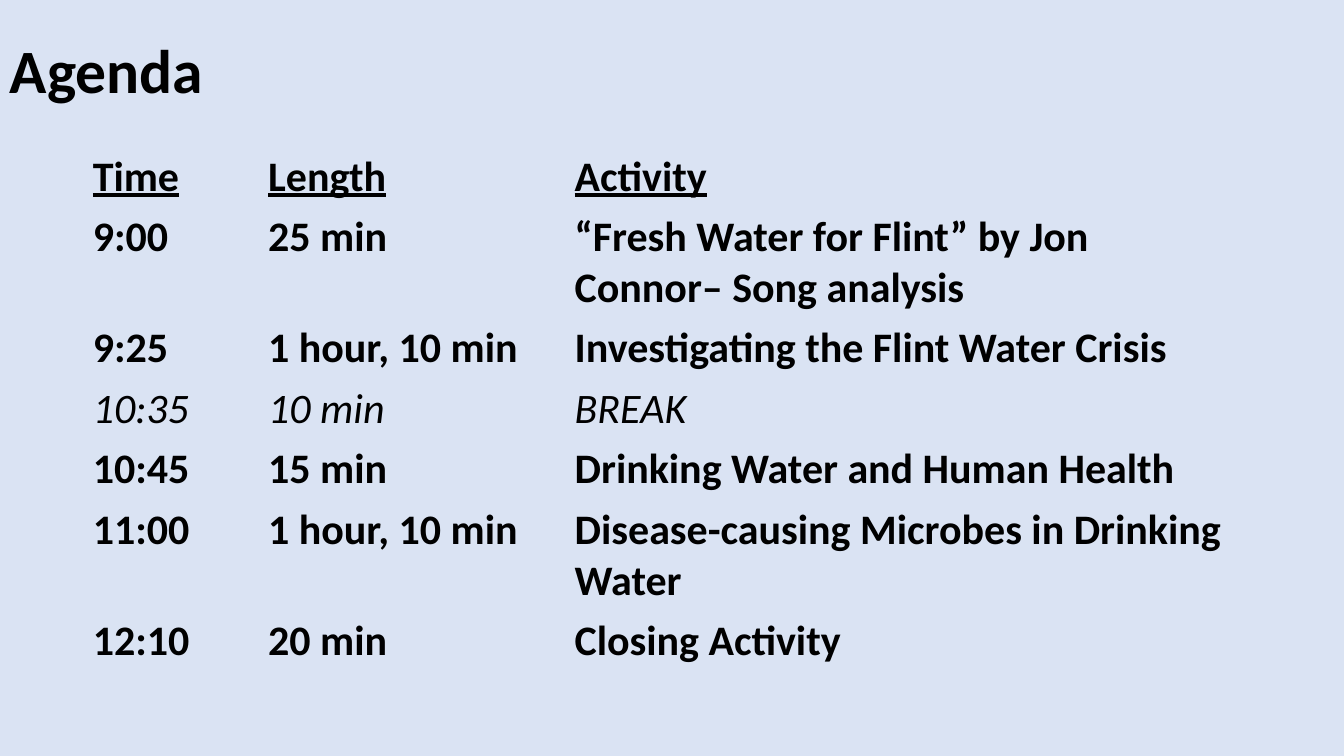
from typing import NamedTuple

from pptx import Presentation
from pptx.dml.color import RGBColor
from pptx.enum.text import MSO_ANCHOR
from pptx.oxml.ns import qn
from pptx.slide import Slide
from pptx.util import Inches, Pt

COLORS = {"back": "DAE3F3", "text": "000000"}
FONT = "Calibri"
PLAIN_GRID = "{2D5ABB26-0587-4C30-8999-92F81FD0307C}"  # no style, no grid
WIDTHS = (1.74, 3.04, 6.73)
ROW_HEIGHT = 0.41


class Item(NamedTuple):
    time: str
    length: str
    activity: str
    head: bool = False
    pause: bool = False


AGENDA = [
    Item("Time", "Length", "Activity", head=True),
    Item("9:00", "25 min", "“Fresh Water for Flint” by Jon Connor– Song analysis"),
    Item("9:25", "1 hour, 10 min", "Investigating the Flint Water Crisis"),
    Item("10:35", "10 min", "BREAK", pause=True),
    Item("10:45", "15 min", "Drinking Water and Human Health"),
    Item("11:00", "1 hour, 10 min", "Disease-causing Microbes in Drinking Water"),
    Item("12:10", "20 min", "Closing Activity"),
]


def write(frame, text: str, size: int, bold: bool = True,
          italic: bool = False, underline: bool = False) -> None:
    para = frame.paragraphs[0]
    para.text = text
    font = para.font
    font.name, font.size = FONT, Pt(size)
    font.bold, font.italic, font.underline = bold, italic, underline
    font.color.rgb = RGBColor.from_string(COLORS["text"])


def add_title(slide: Slide, text: str) -> None:
    box = slide.shapes.add_textbox(0, 0, Inches(11.5), Inches(1.45))
    frame = box.text_frame
    frame.word_wrap = True
    frame.vertical_anchor = MSO_ANCHOR.MIDDLE
    write(frame, text, 44)
    frame.paragraphs[0].line_spacing = 0.9


def add_agenda(slide: Slide, items: list[Item]) -> None:
    shape = slide.shapes.add_table(
        len(items), len(WIDTHS), Inches(0.82), Inches(1.45),
        Inches(sum(WIDTHS)), Inches(ROW_HEIGHT * len(items)))
    table = shape.table
    table.first_row = table.horz_banding = False
    for style in shape.element.iter(qn("a:tableStyleId")):
        style.text = PLAIN_GRID
    for column, width in zip(table.columns, WIDTHS):
        column.width = Inches(width)
    for row, item in zip(table.rows, items):
        row.height = Inches(ROW_HEIGHT)
        for cell, text in zip(row.cells, (item.time, item.length, item.activity)):
            cell.fill.background()
            write(cell.text_frame, text, 30, bold=not item.pause,
                  italic=item.pause, underline=item.head)


def main() -> None:
    deck = Presentation()
    deck.slide_width, deck.slide_height = Inches(13.33), Inches(7.5)
    slide = deck.slides.add_slide(deck.slide_layouts[6])
    fill = slide.background.fill
    fill.solid()
    fill.fore_color.rgb = RGBColor.from_string(COLORS["back"])
    add_title(slide, "Agenda")
    add_agenda(slide, AGENDA)
    deck.save("out.pptx")


if __name__ == "__main__":
    main()
